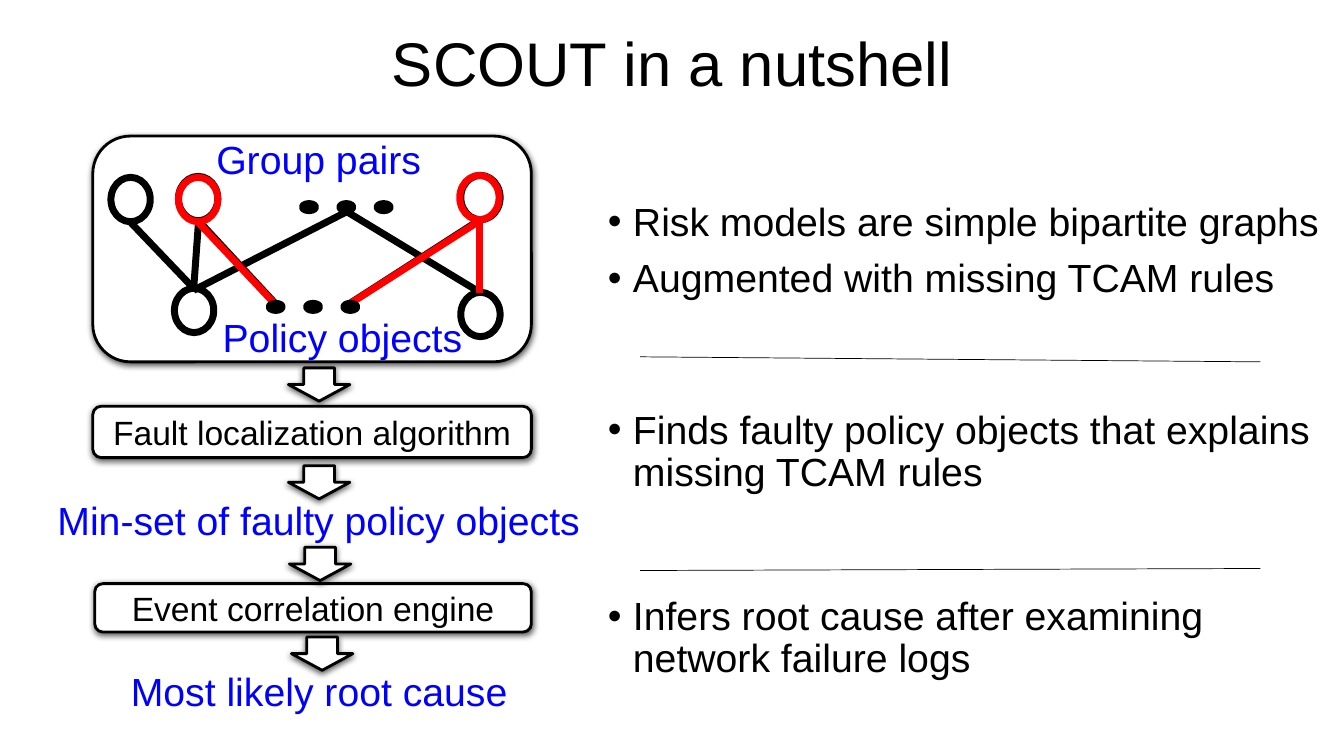
from typing import NamedTuple

from lxml import etree
from pptx import Presentation
from pptx import util as u
from pptx.dml.color import RGBColor
from pptx.enum import shapes, text
from pptx.oxml import ns

BLACK, WHITE, RED, BLUE = "000000", "FFFFFF", "FF0000", "0000FF"
NODE_SIZE = (0.39, 0.44)
DOT_SIZE = (0.13, 0.07)
DOT_PITCH = 0.37
ARROW_SIZE = (0.33, 0.61)


class Edge(NamedTuple):
    start: tuple[float, float]
    end: tuple[float, float]
    color: str = BLACK
    width: float = 5


class Oval(NamedTuple):
    left: float
    top: float
    color: str = BLACK
    size: tuple[float, float] = NODE_SIZE


class Panel(NamedTuple):
    left: float
    top: float
    width: float
    height: float
    label: str = ""


class Caption(NamedTuple):
    label: str
    left: float
    top: float
    width: float
    height: float = 0.57
    wrap: bool = True
    color: str = BLUE
    size: float = 28
    spacing: float = 1.0


class BulletBox(NamedTuple):
    top: float
    height: float
    lines: tuple[str, ...]


EDGES = [
    Edge((2.73, 3.01), (1.97, 2.19)),
    Edge((3.47, 3.01), (4.76, 2.18)),
    Edge((1.29, 2.2), (1.92, 2.86)),
    Edge((1.92, 2.88), (3.44, 2.1)),
    Edge((4.76, 2.9), (3.44, 2.1)),
    Edge((1.92, 2.88), (1.97, 2.19)),
    Edge((4.76, 2.9), (4.76, 2.18)),
]
NODES = [
    Oval(1.1, 1.76),
    Oval(1.77, 1.75),
    Oval(4.57, 1.74),
    Oval(1.73, 2.86),
    Oval(4.57, 2.9),
]
FAULTY_EDGES = [
    Edge((2.73, 3.02), (1.96, 2.2), RED),
    Edge((3.46, 3.02), (4.76, 2.19), RED),
    Edge((4.76, 2.91), (4.76, 2.19), RED),
]
FAULTY_NODES = [Oval(4.56, 1.74, RED), Oval(1.77, 1.76, RED)]
DOTS = [
    Oval(left + DOT_PITCH * step, top, BLACK, DOT_SIZE)
    for left, top in ((3, 2.02), (2.67, 3.01))
    for step in range(3)
]
DIVIDERS = [
    Edge((6.35, 3.54), (12.5, 3.59), BLACK, 0.5),
    Edge((6.35, 5.66), (12.5, 5.64), BLACK, 0.5),
]
MODEL_PANEL = Panel(0.92, 1.35, 4.35, 2.24)
STEP_PANELS = [
    Panel(0.92, 4.03, 4.35, 0.51, "Fault localization algorithm"),
    Panel(0.94, 5.79, 4.33, 0.48, "Event correlation engine"),
]
ARROWS = [(3, 3.51), (3, 4.48), (3.01, 5.29), (3.03, 6.18)]
TITLE = Caption("SCOUT in a nutshell", 0.92, 0.2, 11.5, 0.92, True, BLACK, 44, 0.9)
CAPTIONS = [
    Caption("Group pairs", 2.03, 1.29, 2.26, wrap=False),
    Caption("Policy objects", 2.09, 3.06, 2.61, wrap=False),
    Caption("Min-set of faulty policy objects", 0.16, 4.87, 6),
    Caption("Most likely root cause", 0.9, 6.57, 4.53),
]
BULLET_BOXES = [
    BulletBox(1.96, 1.09, ("Risk models are simple bipartite graphs",
                           "Augmented with missing TCAM rules")),
    BulletBox(4.02, 0.99, ("Finds faulty policy objects that explains missing TCAM rules",)),
    BulletBox(5.87, 0.58, ("Infers root cause after examining network failure logs",)),
]


def rgb(color: str) -> RGBColor:
    return RGBColor.from_string(color)


def write(paragraph, content: str, *, size: float = 28, color: str = BLACK,
          align=text.PP_ALIGN.CENTER, spacing: float = 1.0, before: float = 0,
          bullet: bool = False) -> None:
    paragraph.alignment = align
    paragraph.line_spacing = spacing
    paragraph.space_before = u.Pt(before)
    if bullet:
        properties = paragraph._p.get_or_add_pPr()
        properties.set("marL", str(u.Inches(0.25)))
        properties.set("indent", str(u.Inches(-0.25)))
        font = etree.SubElement(properties, ns.qn("a:buFont"))
        font.set("typeface", "Arial")
        etree.SubElement(properties, ns.qn("a:buChar")).set("char", "•")
    run = paragraph.add_run()
    run.text = content
    run.font.name = "Arial"
    run.font.size = u.Pt(size)
    run.font.color.rgb = rgb(color)


def add_outline(slide, kind, box: tuple[float, ...], color: str, width: float):
    shape = slide.shapes.add_shape(kind, *map(u.Inches, box))
    shape.fill.background()
    shape.line.color.rgb = rgb(color)
    shape.line.width = u.Pt(width)
    shape.shadow.inherit = False
    return shape


def add_raised(slide, kind, box: tuple[float, ...]):
    shape = add_outline(slide, kind, box, BLACK, 2)
    shape.fill.solid()
    shape.fill.fore_color.rgb = rgb(WHITE)
    effects = shape._element.spPr.find(ns.qn("a:effectLst"))
    shadow = etree.SubElement(effects, ns.qn("a:outerShdw"), blurRad=str(u.Pt(4.5)),
                              dist=str(u.Pt(1.5)), dir="5400000", rotWithShape="0")
    shade = etree.SubElement(shadow, ns.qn("a:srgbClr"), val=BLACK)
    etree.SubElement(shade, ns.qn("a:alpha"), val="63000")
    return shape


def add_panel(slide, panel: Panel) -> None:
    shape = add_raised(slide, shapes.MSO_SHAPE.FLOWCHART_ALTERNATE_PROCESS, panel[:4])
    if panel.label:
        shape.text_frame.vertical_anchor = text.MSO_ANCHOR.MIDDLE
        write(shape.text_frame.paragraphs[0], panel.label, size=24)


def add_edge(slide, edge: Edge) -> None:
    connector = slide.shapes.add_connector(
        shapes.MSO_CONNECTOR.STRAIGHT, *map(u.Inches, edge.start + edge.end))
    connector.line.color.rgb = rgb(edge.color)
    connector.line.width = u.Pt(edge.width)
    etree.SubElement(connector._element.spPr, ns.qn("a:effectLst"))


def add_oval(slide, oval: Oval) -> None:
    add_outline(slide, shapes.MSO_SHAPE.OVAL, (oval.left, oval.top, *oval.size), oval.color, 5)


def add_caption(slide, caption: Caption) -> None:
    box = slide.shapes.add_textbox(*map(u.Inches, caption[1:5]))
    frame = box.text_frame
    frame.word_wrap = caption.wrap
    frame.vertical_anchor = text.MSO_ANCHOR.MIDDLE
    write(frame.paragraphs[0], caption.label, size=caption.size,
          color=caption.color, spacing=caption.spacing)


def add_bullets(slide, box: BulletBox) -> None:
    frame = slide.shapes.add_textbox(
        *map(u.Inches, (5.93, box.top, 7.4, box.height))).text_frame
    frame.word_wrap = True
    for index, line in enumerate(box.lines):
        paragraph = frame.add_paragraph() if index else frame.paragraphs[0]
        write(paragraph, line, align=text.PP_ALIGN.LEFT, spacing=0.9,
              before=10 if index else 0, bullet=True)


def main() -> None:
    presentation = Presentation()
    presentation.slide_width = u.Inches(13.33)
    presentation.slide_height = u.Inches(7.5)
    slide = presentation.slides.add_slide(presentation.slide_layouts[6])
    add_caption(slide, TITLE)
    for panel in [MODEL_PANEL, *STEP_PANELS]:
        add_panel(slide, panel)
    for edge in EDGES:
        add_edge(slide, edge)
    for node in NODES:
        add_oval(slide, node)
    for edge in FAULTY_EDGES + DIVIDERS:
        add_edge(slide, edge)
    for oval in FAULTY_NODES + DOTS:
        add_oval(slide, oval)
    for position in ARROWS:
        arrow = add_raised(slide, shapes.MSO_SHAPE.RIGHT_ARROW, position + ARROW_SIZE)
        arrow.rotation = 90
    for caption in CAPTIONS:
        add_caption(slide, caption)
    for box in BULLET_BOXES:
        add_bullets(slide, box)
    presentation.save("out.pptx")


if __name__ == "__main__":
    main()
